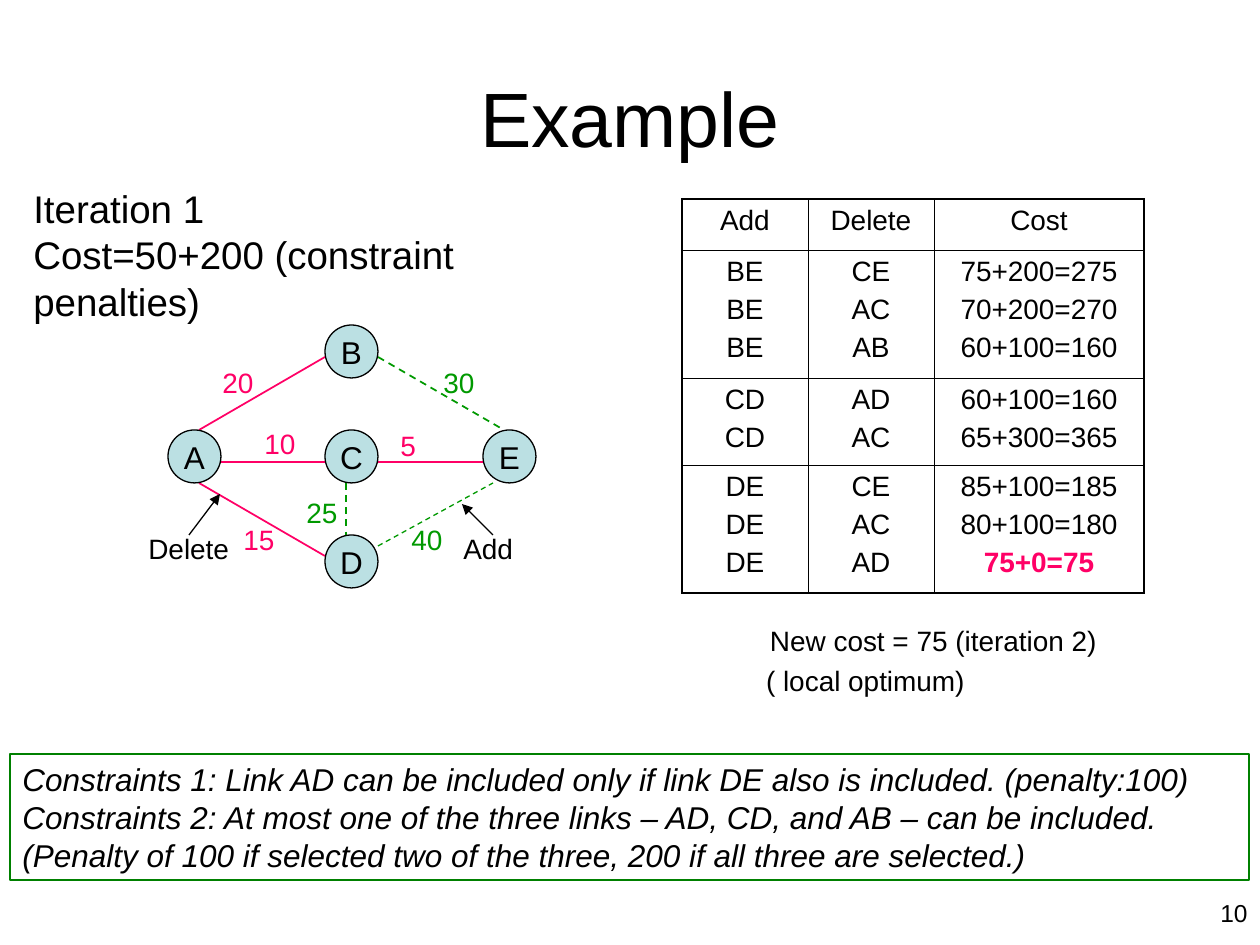
from dataclasses import dataclass

from lxml.etree import SubElement
from pptx import Presentation
from pptx.dml.color import RGBColor
from pptx.enum.dml import MSO_LINE
from pptx.enum.shapes import MSO_CONNECTOR, MSO_SHAPE
from pptx.enum.text import MSO_ANCHOR, PP_ALIGN
from pptx.oxml.ns import qn
from pptx.util import Pt


@dataclass(frozen=True)
class Theme:
    font: str = "Arial"
    ink: str = "000000"
    pink: str = "FF0066"
    green: str = "009900"
    frame: str = "008000"
    node: str = "BBE0E3"
    title: int = 44
    heading: int = 22
    large: int = 18
    normal: int = 16
    number: int = 14


THEME = Theme()
SCALE = 914400 / 126
NODE_SIZE = 53

TITLE = ["Example"]
ITERATION = ["Iteration 1", "Cost=50+200 (constraint penalties)"]
RESULT = [" New cost = 75 (iteration 2)", " ( local optimum)"]
CONSTRAINTS = [
    "Constraints 1: Link AD can be included only if link DE also is included. (penalty:100)",
    "Constraints 2: At most one of the three links – AD, CD, and AB – can be included.",
    "(Penalty of 100 if selected two of the three, 200 if all three are selected.)",
]
PAGE_NUMBER = ["10"]

NODES = {"A": (168, 430), "B": (325, 325), "C": (325, 430), "D": (325, 535), "E": (483, 430)}
CHOSEN_LINKS = [
    ((220, 462), (325, 462)),
    ((378, 462), (483, 462)),
    ((199, 483), (325, 556)),
    ((199, 430), (325, 357)),
]
UNUSED_LINKS = [
    ((378, 546), (493, 483), 0.75),
    ((378, 357), (504, 430), 1),
    ((346, 483), (346, 535), 1),
]
POINTERS = [((189, 535), (220, 494)), ((493, 535), (462, 504))]
LABELS = [
    ("20", 210, 359, THEME.pink),
    ("30", 431, 359, THEME.green),
    ("15", 231, 516, THEME.pink),
    ("40", 399, 516, THEME.green),
    ("10", 252, 420, THEME.pink),
    ("5", 388, 422, THEME.pink),
    ("25", 294, 489, THEME.green),
    ("Delete", 136, 525, THEME.ink),
    ("Add", 451, 525, THEME.ink),
]

COLUMN_WIDTHS = [126, 126, 210]
ROW_HEIGHTS = [51, 128, 87, 128]
BEST_COST = "75+0=75"
MOVES = [
    [["Add"], ["Delete"], ["Cost"]],
    [["BE", "BE", "BE"], ["CE", "AC", "AB"], ["75+200=275", "70+200=270", "60+100=160"]],
    [["CD", "CD"], ["AD", "AC"], ["60+100=160", "65+300=365"]],
    [["DE", "DE", "DE"], ["CE", "AC", "AD"], ["85+100=185", "80+100=180", BEST_COST]],
]


def px(value):
    return round(value * SCALE)


def rgb(value):
    return RGBColor.from_string(value)


def write(frame, lines, size, color=THEME.ink, align=PP_ALIGN.LEFT, italic=False):
    frame.word_wrap = True
    frame.text = "\n".join(lines)
    for para in frame.paragraphs:
        para.alignment = align
        for span in para.runs:
            font = span.font
            font.name, font.size, font.italic = THEME.font, Pt(size), italic
            font.color.rgb = rgb(color)


def add_text(page, lines, area, size, **style):
    box = page.shapes.add_textbox(*map(px, area))
    write(box.text_frame, lines, size, **style)
    return box.text_frame


def add_outline(page, kind, area, color, width):
    shape = page.shapes.add_shape(kind, *map(px, area))
    shape.shadow.inherit = False
    shape.fill.background()
    shape.line.color.rgb = rgb(color)
    shape.line.width = Pt(width)
    return shape


def add_line(page, start, end, color, width, dashed=False, arrow=False):
    link = page.shapes.add_connector(MSO_CONNECTOR.STRAIGHT, *map(px, start + end))
    link.line.color.rgb = rgb(color)
    link.line.width = Pt(width)
    if dashed:
        link.line.dash_style = MSO_LINE.DASH
    if arrow:
        SubElement(link.line._ln, qn("a:tailEnd"), type="triangle")
    SubElement(link._element.spPr, qn("a:effectLst"))


def add_node(page, name, left, top):
    node = add_outline(page, MSO_SHAPE.OVAL, (left, top, NODE_SIZE, NODE_SIZE), THEME.ink, 0.75)
    node.fill.solid()
    node.fill.fore_color.rgb = rgb(THEME.node)
    frame = node.text_frame
    frame.margin_left = frame.margin_right = frame.margin_top = frame.margin_bottom = 0
    frame.vertical_anchor = MSO_ANCHOR.MIDDLE
    write(frame, [name], THEME.large, align=PP_ALIGN.CENTER)


def set_borders(cell, outer_sides):
    properties = cell._tc.get_or_add_tcPr()
    for side, outer in outer_sides.items():
        width = Pt(1.08 if outer else 0.45)
        border = SubElement(properties, qn(f"a:ln{side}"), w=str(width))
        fill = SubElement(border, qn("a:solidFill"))
        SubElement(fill, qn("a:srgbClr"), val=THEME.ink)


def add_moves_table(page, left, top):
    rows, columns = len(ROW_HEIGHTS), len(COLUMN_WIDTHS)
    area = (left, top, sum(COLUMN_WIDTHS), sum(ROW_HEIGHTS))
    table = page.shapes.add_table(rows, columns, *map(px, area)).table
    table.first_row = table.horz_banding = False
    for column, width in zip(table.columns, COLUMN_WIDTHS):
        column.width = px(width)
    for r, height in enumerate(ROW_HEIGHTS):
        table.rows[r].height = px(height)
        for c, lines in enumerate(MOVES[r]):
            cell = table.cell(r, c)
            write(cell.text_frame, lines, THEME.normal, align=PP_ALIGN.CENTER)
            for para in cell.text_frame.paragraphs:
                para.space_before = Pt(4)
                if para.text == BEST_COST:
                    para.runs[0].font.bold = True
                    para.runs[0].font.color.rgb = rgb(THEME.pink)
            set_borders(cell, {"L": c == 0, "R": c == columns - 1, "T": r == 0, "B": r == rows - 1})
            cell.fill.background()


def add_result(page):
    frame = add_text(page, RESULT, (746, 609, 388, 116), THEME.normal)
    for para in frame.paragraphs:
        para.line_spacing = 0.9
        para.space_before = Pt(4)
    first = frame.paragraphs[0]
    space, words = first.runs[0], first.add_run()
    words.text = space.text.lstrip()
    words.font.name, words.font.size = THEME.font, Pt(THEME.normal)
    words.font.color.rgb = rgb(THEME.ink)
    space.text = " "
    space.font.size = Pt(24)


def main():
    deck = Presentation()
    deck.slide_width, deck.slide_height = px(1260), px(945)
    page = deck.slides.add_slide(deck.slide_layouts[6])

    title = add_text(page, TITLE, (63, 38, 1134, 158), THEME.title, align=PP_ALIGN.CENTER)
    title.vertical_anchor = MSO_ANCHOR.MIDDLE
    add_result(page)
    for start, end in CHOSEN_LINKS:
        add_line(page, start, end, THEME.pink, 1)
    for start, end, width in UNUSED_LINKS:
        add_line(page, start, end, THEME.green, width, dashed=True)
    for name, (left, top) in NODES.items():
        add_node(page, name, left, top)
    for label, left, top, color in LABELS:
        width = 73 if label.isdigit() else 126
        add_text(page, [label], (left, top, width, 47), THEME.normal, color=color)
    for start, end in POINTERS:
        add_line(page, start, end, THEME.ink, 0.75, arrow=True)
    add_text(page, ITERATION, (21, 179, 620, 151), THEME.heading)
    add_moves_table(page, 682, 199)
    box = add_outline(page, MSO_SHAPE.RECTANGLE, (10, 754, 1239, 126), THEME.frame, 1)
    box.text_frame.vertical_anchor = MSO_ANCHOR.TOP
    write(box.text_frame, CONSTRAINTS, THEME.large, italic=True)
    add_text(page, PAGE_NUMBER, (1113, 892, 147, 34), THEME.number, align=PP_ALIGN.RIGHT)
    deck.save("out.pptx")


if __name__ == "__main__":
    main()
